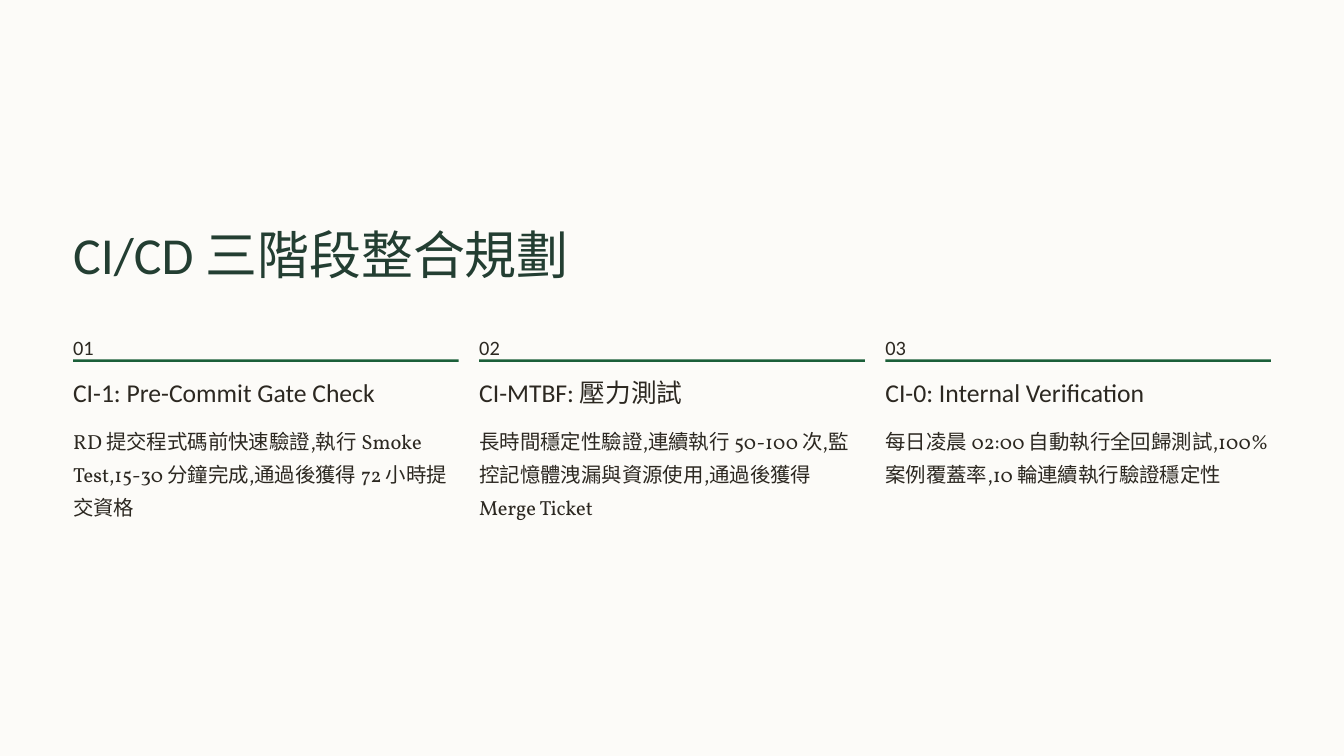
from pptx import Presentation
from pptx.dml.color import RGBColor
from pptx.enum.shapes import MSO_SHAPE as Shape
from pptx.util import Inches, Pt

COLORS = {"paper": "FCFBF8", "title": "233E32", "ink": "2C2821", "rule": "1B5F39"}
HEADING_FONT, BODY_FONT = "Calibri", "Vollkorn"
WIDTH, HEIGHT = 16, 9
MARGIN, GAP = 0.87, 0.245

STAGES = [
    ("CI-1: Pre-Commit Gate Check",
     "RD 提交程式碼前快速驗證,執行 Smoke Test,15-30 分鐘完成,通過後獲得 72 小時提交資格"),
    ("CI-MTBF: 壓力測試",
     "長時間穩定性驗證,連續執行 50-100 次,監控記憶體洩漏與資源使用,通過後獲得 Merge Ticket"),
    ("CI-0: Internal Verification",
     "每日凌晨 02:00 自動執行全回歸測試,100% 案例覆蓋率,10 輪連續執行驗證穩定性"),
]


class StageSlide:
    """Holds the slide and its column grid; tops and heights are in inches."""

    def __init__(self, presentation, columns):
        self.slide = presentation.slides.add_slide(presentation.slide_layouts[6])
        self.column_width = (WIDTH - 2 * MARGIN - (columns - 1) * GAP) / columns
        self.paint(self.slide.background.fill, "paper")

    def paint(self, fill, color):
        fill.solid()
        fill.fore_color.rgb = RGBColor.from_string(COLORS[color])

    def area(self, column, top, height, span=1):
        """Return left, top, width and height of a grid area."""
        left = MARGIN + column * (self.column_width + GAP)
        width = span * self.column_width + (span - 1) * GAP
        return [Inches(length) for length in (left, top, width, height)]

    def text(self, area, words, size, leading, font=HEADING_FONT, color="ink", wrap=False):
        frame = self.slide.shapes.add_textbox(*area).text_frame
        frame.margin_left = frame.margin_top = frame.margin_right = frame.margin_bottom = 0
        frame.word_wrap = wrap
        paragraph = frame.paragraphs[0]
        paragraph.text = words
        paragraph.line_spacing = Pt(leading)
        paragraph.font.name = font
        paragraph.font.size = Pt(size)
        paragraph.font.color.rgb = RGBColor.from_string(COLORS[color])

    def rule(self, area):
        bar = self.slide.shapes.add_shape(Shape.RECTANGLE, *area)
        bar.shadow.inherit = False
        self.paint(bar.fill, "rule")
        bar.line.fill.background()

    def stage(self, column, heading, description):
        self.text(self.area(column, 3.89, 0.31), f"{column + 1:02}", 17.5, 28.5)
        self.rule(self.area(column, 4.28, 0.03))
        self.text(self.area(column, 4.47, 0.39), heading, 22, 27.5)
        self.text(self.area(column, 5, 1.19), description, 17.5, 28.5, BODY_FONT, wrap=True)


def main():
    presentation = Presentation()
    presentation.slide_width, presentation.slide_height = Inches(WIDTH), Inches(HEIGHT)
    page = StageSlide(presentation, len(STAGES))
    page.text(page.area(0, 2.62, 0.78, span=2), "CI/CD 三階段整合規劃", 44.5, 55.5, color="title")
    for column, (heading, description) in enumerate(STAGES):
        page.stage(column, heading, description)
    presentation.save("out.pptx")


if __name__ == "__main__":
    main()
